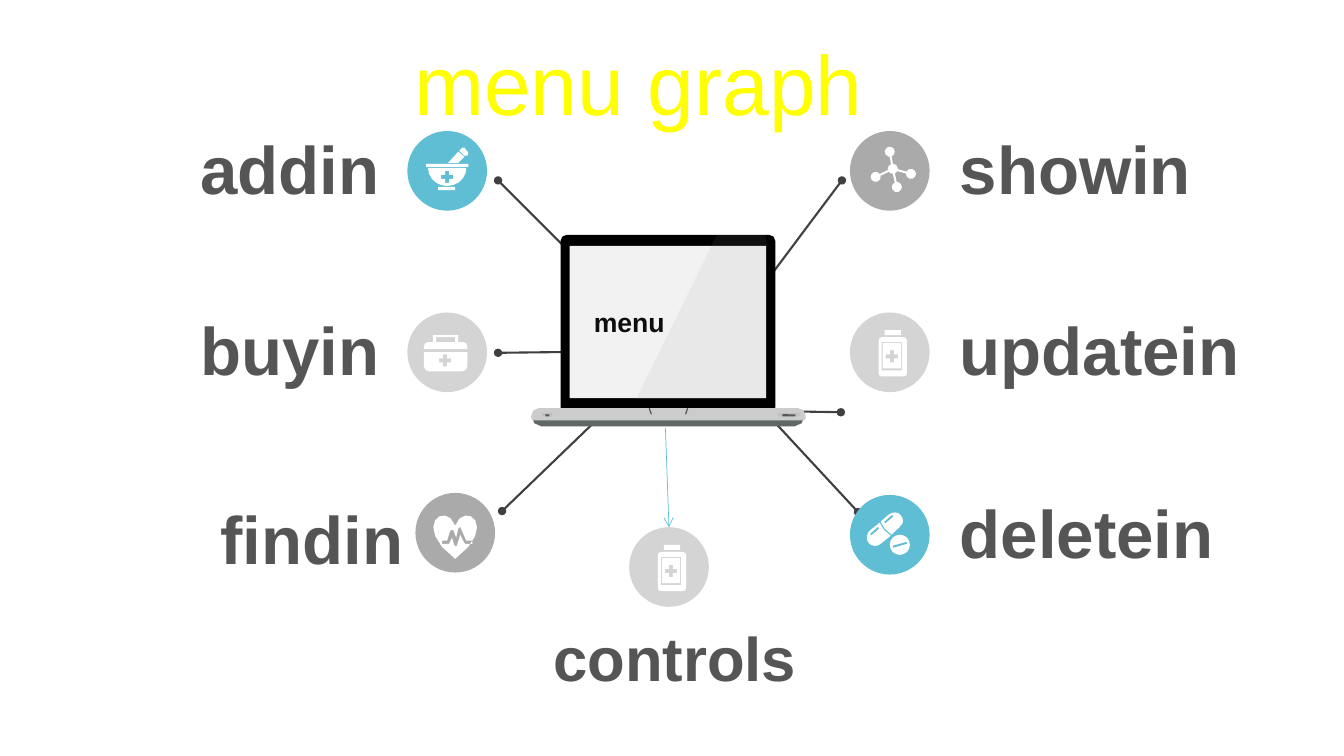
import math

from lxml import etree
from pptx import Presentation, util as u
from pptx.dml.color import RGBColor
from pptx.enum import shapes as s, text as t
from pptx.oxml import ns

WIDTH, HEIGHT = 13.33, 7.5
DISC = 0.79
WHITE, BLUE, GREY, PALE, INK = "FFFFFF", "60BED4", "AAAAAA", "D4D4D4", "555555"
LEFT, RIGHT = 4.04, 8.43          # columns of discs
ROWS = [1.3, 3.1, 4.91]           # tops of discs


def rgb(code):
    return RGBColor.from_string(code)


# Outlines: each returns the corner points of one contour, in inches
def arc(cx, cy, rx, ry, start, end, steps=2):
    if rx == 0:
        return [(cx, cy)]
    angles = [math.radians(start + (end - start) * i / steps) for i in range(steps + 1)]
    return [(cx + rx * math.cos(a), cy + ry * math.sin(a)) for a in angles]


def disc(cx, cy, r, steps=10):
    return arc(cx, cy, r, r, 0, 360, steps)[:-1]


def bezier(a, b, c, d, steps=4):
    def at(k, f):
        g = 1 - f
        return g**3 * a[k] + 3 * g * g * f * b[k] + 3 * g * f * f * c[k] + f**3 * d[k]
    return [(at(0, i / steps), at(1, i / steps)) for i in range(steps + 1)]


def box(x, y, w, h, top=0, bottom=0):
    r, b = x + w, y + h
    return (arc(x + top, y + top, top, top, 180, 270) + arc(r - top, y + top, top, top, 270, 360)
            + arc(r - bottom, b - bottom, bottom, bottom, 0, 90)
            + arc(x + bottom, b - bottom, bottom, bottom, 90, 180))


def plus(cx, cy, arm=0.06, half=0.02):
    quarter = [(half, -arm), (half, -half), (arm, -half)]
    points = []
    for _ in range(4):
        points += [(cx + x, cy + y) for x, y in quarter]
        quarter = [(-y, x) for x, y in quarter]
    return points


def strip(a, b, width, trim=0):
    length = math.dist(a, b)
    dx, dy = (b[0] - a[0]) / length, (b[1] - a[1]) / length
    nx, ny = -dy * width / 2, dx * width / 2
    (ax, ay), (bx, by) = (a[0] + dx * trim, a[1] + dy * trim), (b[0] - dx * trim, b[1] - dy * trim)
    return [(ax + nx, ay + ny), (bx + nx, by + ny), (bx - nx, by - ny), (ax - nx, ay - ny)]


# Icons: contours around the middle of a disc; inner contours are holes
def bottle():
    return [box(-0.11, -0.15, 0.28, 0.39, 0.03, 0.03), box(-0.08, -0.1, 0.2, 0.28),
            box(-0.07, -0.09, 0.18, 0.25), plus(0.02, 0.04), box(-0.05, -0.22, 0.16, 0.05)]


def first_aid_kit():
    handle = [(-0.14, -0.1), (-0.14, -0.17), (0.11, -0.17), (0.11, -0.1),
              (0.08, -0.1), (0.08, -0.15), (-0.11, -0.15), (-0.11, -0.1)]
    return [handle, box(-0.23, -0.1, 0.43, 0.07, 0.04),
            box(-0.23, 0, 0.43, 0.19, 0, 0.05), plus(-0.02, 0.08)]


def mortar():
    return [box(-0.09, 0.16, 0.17, 0.03), arc(0, -0.03, 0.19, 0.18, 0, 180, 10),
            plus(0, 0.06), box(-0.21, -0.07, 0.42, 0.03),
            [(0.11, -0.19), (0.17, -0.14), (0.11, -0.08), (0.01, -0.08)],
            [(0.15, -0.23), (0.17, -0.23), (0.21, -0.18), (0.2, -0.15), (0.17, -0.15), (0.12, -0.2)]]


def heart():
    right = bezier((0, -0.07), (0.09, -0.32), (0.44, -0.07), (0, 0.26), 8)
    pulse = [(0.05, -0.06), (0.03, -0.04), (0.01, 0.05), (-0.02, -0.03), (-0.05, -0.02),
             (-0.08, 0.08), (-0.13, 0.08), (-0.13, 0.11), (-0.06, 0.11), (-0.03, 0.05),
             (-0.01, 0.12), (0.01, 0.14), (0.02, 0.12), (0.05, 0.02), (0.09, 0.1),
             (0.1, 0.11), (0.17, 0.11), (0.17, 0.08), (0.11, 0.08)]
    return [right + [(-x, y) for x, y in reversed(right)], pulse]


def pills():
    lower = ([(-0.1, -0.12), (-0.06, -0.05), (0.01, 0.01)]
             + bezier((-0.09, 0.09), (-0.12, 0.12), (-0.18, 0.12), (-0.21, 0.08))
             + bezier((-0.21, 0.08), (-0.24, 0.05), (-0.23, -0.01), (-0.2, -0.04)))
    upper = ([(-0.09, -0.13)] + bezier((-0.01, -0.2), (0.03, -0.23), (0.09, -0.23), (0.11, -0.19))
             + bezier((0.11, -0.19), (0.14, -0.16), (0.14, -0.11), (0.1, -0.08))
             + [(0.02, 0), (-0.05, -0.06)])
    return [lower, upper, disc(0.1, 0.1, 0.1, 16), strip((-0.19, 0), (-0.11, -0.07), 0.02),
            strip((-0.05, -0.12), (0.03, -0.19), 0.02), strip((0.03, 0.12), (0.17, 0.08), 0.02)]


def molecule():
    hub = (0.03, -0.02)
    atoms = [(0, -0.19), (0.21, 0.03), (0.07, 0.16), (-0.14, 0.06)]
    return ([disc(*atom, 0.05) for atom in atoms + [hub]]
            + [strip(hub, atom, 0.02, 0.05) for atom in atoms])


# Drawing helpers
def paint(shape, fill):
    shape.shadow.inherit = False
    shape.fill.solid()
    shape.fill.fore_color.rgb = rgb(fill)
    shape.line.fill.background()
    return shape


def outline(slide, x, y, contours, fill):
    builder = None
    for contour in contours:
        (sx, sy), *rest = [(px * 1000, py * 1000) for px, py in contour]
        if builder is None:
            builder = slide.shapes.build_freeform(sx, sy, u.Inches(1) / 1000)
        else:
            builder.move_to(sx, sy)
        builder.add_line_segments(rest, close=True)
    return paint(builder.convert_to_shape(u.Inches(x), u.Inches(y)), fill)


def preset(slide, kind, x, y, w, h, fill):
    return paint(slide.shapes.add_shape(kind, *map(u.Inches, (x, y, w, h))), fill)


def write(frame, words, size, color, bold=True, align=t.PP_ALIGN.LEFT):
    frame.word_wrap = True
    line = frame.paragraphs[0]
    line.text, line.alignment = words, align
    line.font.name, line.font.size, line.font.bold = "Arial", u.Pt(size), bold
    line.font.color.rgb = rgb(color)
    return line


def label(slide, x, y, w, h, *style, **options):
    area = slide.shapes.add_textbox(*map(u.Inches, (x, y, w, h)))
    return area.text_frame, write(area.text_frame, *style, **options)


def connect(slide, start, end, color, width, **ends):
    link = slide.shapes.add_connector(s.MSO_CONNECTOR.STRAIGHT, *map(u.Inches, start + end))
    link.line.color.rgb, link.line.width = rgb(color), u.Pt(width)
    for name, kind in ends.items():
        etree.SubElement(link._element.spPr.find(ns.qn("a:ln")), ns.qn(f"a:{name}"), type=kind)
    etree.SubElement(link._element.spPr, ns.qn("a:effectLst"))
    return link


# Regions of the slide
def title(slide, x, y, w, h):
    frame, line = label(slide, x, y, w, h, "menu graph", 60, "FFFF00",
                        bold=False, align=t.PP_ALIGN.CENTER)
    frame.margin_top = u.Inches(0.1)
    line.line_spacing = 0.9


def badge(slide, x, y, fill, icon):
    circle = preset(slide, s.MSO_SHAPE.OVAL, x, y, DISC, DISC, fill)
    outline(slide, x + DISC / 2, y + DISC / 2, icon(), WHITE)
    return circle


def laptop(slide, x, y):
    underside = [(0.02, 1.83), (2.73, 1.83), (2.7, 1.9), (2.63, 1.93), (0.12, 1.93), (0.05, 1.9)]
    outline(slide, x, y, [underside], "5F6767")
    outline(slide, x, y, [box(0.31, 0.03, 2.13, 1.77, 0.06, 0.06)], "000000")
    screen = preset(slide, s.MSO_SHAPE.RECTANGLE, x + 0.4, y + 0.14, 1.95, 1.51, "F2F2F2")
    screen.text_frame.margin_left = u.Inches(0.24)
    screen.text_frame.vertical_anchor = t.MSO_ANCHOR.MIDDLE
    write(screen.text_frame, "menu", 19, "0D0D0D")
    outline(slide, x, y, [box(0.02, 1.75, 2.72, 0.12, 0.07, 0.02)], "CCCCCC")
    outline(slide, x, y, [strip((1.19, 1.75), (1.21, 1.81), 0.01),
                          strip((1.57, 1.75), (1.55, 1.81), 0.01)], "4D4D4D")
    for left, width, inset in [(0.13, 0.1, 0.03), (2.47, 0.21, 0.04)]:
        preset(slide, s.MSO_SHAPE.ROUNDED_RECTANGLE, x + left, y + 1.8, width, 0.03, "BFBFBF")
        preset(slide, s.MSO_SHAPE.ROUNDED_RECTANGLE, x + left + inset, y + 1.81,
               width - 2 * inset, 0.02, "595959")
    glare = outline(slide, x, y, [[(1.86, 0.03), (2.35, 0.03), (2.35, 1.66), (1.06, 1.66)]], "999999")
    shade = glare._element.spPr.find(".//" + ns.qn("a:srgbClr"))
    etree.SubElement(shade, ns.qn("a:alpha"), val="10000")


def menu_graph(slide):
    title(slide, 0, 0.33, 0.95 * WIDTH, 0.79)
    # Spokes behind the laptop
    for start, end in [((6.63, 3.48), (4.94, 1.79)), ((6.63, 3.48), (4.94, 3.5)),
                       ((6.63, 3.48), (4.98, 5.07)), ((6.65, 4.06), (8.35, 1.79)),
                       ((6.64, 4.06), (8.34, 4.09)), ((6.6, 3.02), (8.51, 5.08))]:
        connect(slide, start, end, "404040", 1.5, headEnd="oval", tailEnd="oval")
    laptop(slide, 5.25, 2.3)
    # Menu entries: words, disc, fill, icon, gap to the label, lift of the label
    for words, x, y, fill, icon, gap, lift in [
            ("addin", LEFT, ROWS[0], BLUE, mortar, 0.18, 0.09),
            ("buyin", LEFT, ROWS[1], PALE, first_aid_kit, 0.18, 0.09),
            ("findin", LEFT + 0.08, ROWS[2] - 0.02, GREY, heart, 0.02, 0.01),
            ("showin", RIGHT, ROWS[0], GREY, molecule, 0.2, 0.09),
            ("updatein", RIGHT, ROWS[1], PALE, bottle, 0.2, 0.09),
            ("deletein", RIGHT, ROWS[2], BLUE, pills, 0.2, 0.09)]:
        badge(slide, x, y, fill, icon)
        on_left = x < WIDTH / 2
        label(slide, x - gap - 3.25 if on_left else x + DISC + gap, y - lift,
              3.25 if on_left else 3, 0.91, words, 48, INK,
              align=t.PP_ALIGN.RIGHT if on_left else t.PP_ALIGN.LEFT)
    # Controls below the laptop
    controls = badge(slide, 6.24, 5.23, PALE, bottle)
    arrow = connect(slide, (6.6, 4.25), (6.63, 5.23), BLUE, 0.5, tailEnd="arrow")
    arrow.end_connect(controls, 0)
    label(slide, 5.39, 6.1, 2.64, 0.84, "controls", 44, INK)


deck = Presentation()
deck.slide_width, deck.slide_height = u.Inches(WIDTH), u.Inches(HEIGHT)
menu_graph(deck.slides.add_slide(deck.slide_layouts[6]))
deck.save("out.pptx")
